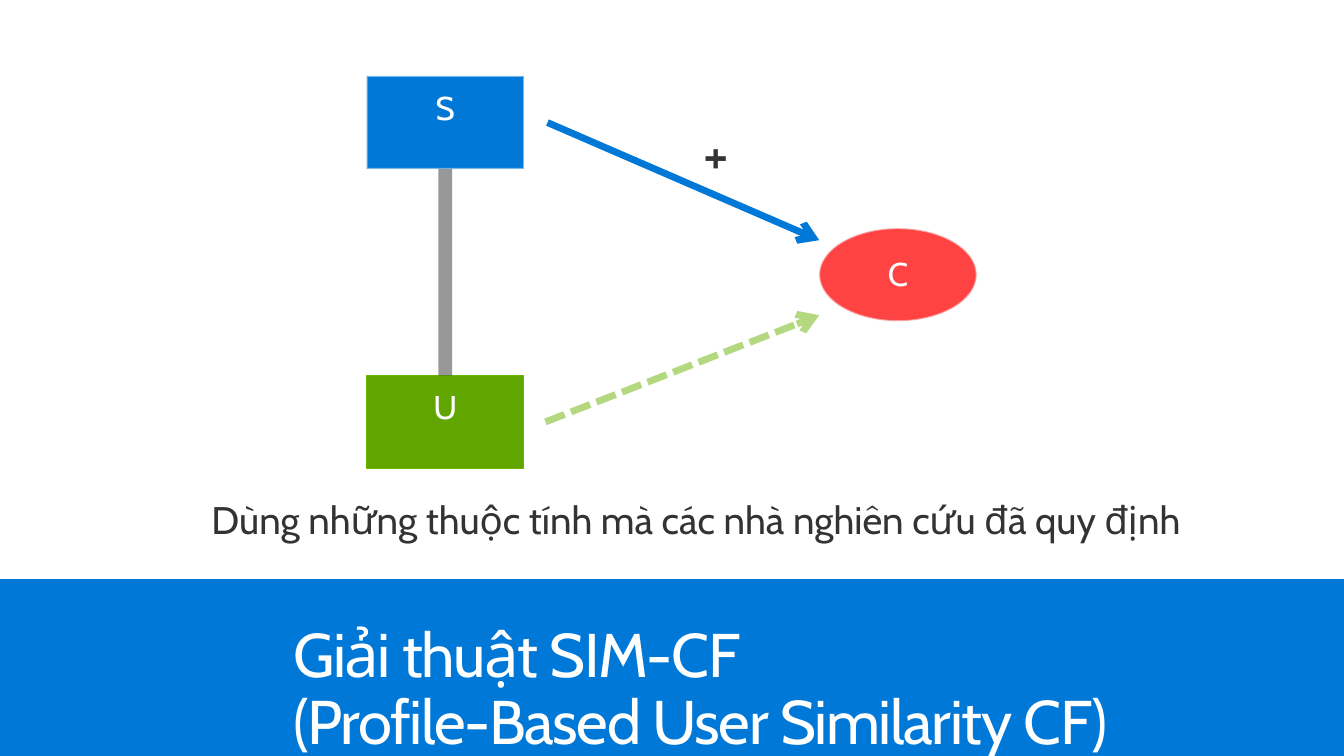
from pptx import Presentation
from pptx.dml.color import RGBColor
from pptx.enum.dml import MSO_LINE
from pptx.enum.shapes import MSO_CONNECTOR, MSO_SHAPE
from pptx.enum.text import MSO_ANCHOR, MSO_AUTO_SIZE, PP_ALIGN
from pptx.oxml.ns import qn
from pptx.util import Pt
from lxml.etree import SubElement

TITLE = "Giải thuật SIM-CF\v(Profile-Based User Similarity CF)"
CAPTION = "Dùng những thuộc tính mà các nhà nghiên cứu đã quy định"
PLUS = "+"

THEME = {
    "font": "Cabin", "title": 44.9, "plus": 40, "caption": 28, "node": 24,
    "blue": "0078D7", "green": "61A600", "green_edge": "6BB700",
    "green_arrow": "69B300", "red": "FF4343", "pale": "F9F9F9",
    "white": "FFFFFF", "dark": "333333",
}

WIDTH, HEIGHT = 979.2, 550.8
BAND_TOP = 421.9
NODE_W, NODE_H = 114.7, 67.7
USER_LEFT = 267.1
INSETS = (14.4, 11.5)
TITLE_INSETS = (11.5, 7.2)

# label: preset, left, top, fill, edge colour, edge width, edge opacity %
NODES = {
    "U": (MSO_SHAPE.RECTANGLE, USER_LEFT, 273.6, "green", "green_edge", 0.75, 100),
    "C": (MSO_SHAPE.OVAL, 596.9, 166.3, "red", "pale", 1.35, 50),
    "S": (MSO_SHAPE.RECTANGLE, USER_LEFT, 55.4, "blue", "pale", 1.35, 50),
}

# start, end, colour, opacity %, dash
ARROWS = [
    ((398.9, 89.3), (596.9, 175), "blue", 100, None),
    ((397.4, 307.4), (596.9, 229.7), "green_arrow", 50, MSO_LINE.SQUARE_DOT),
]


def colour(key):
    return RGBColor.from_string(THEME[key])


def style_line(line, key, width, opacity=100):
    line.color.rgb = colour(key)
    line.width = Pt(width)
    if opacity < 100:
        rgb = line._get_or_add_ln().find(".//" + qn("a:srgbClr"))
        SubElement(rgb, qn("a:alpha"), val=str(opacity * 1000))


def write(frame, text, size, key, insets=INSETS, wrap=True, align=None, after=0):
    frame.margin_left = frame.margin_right = Pt(insets[0])
    frame.margin_top = frame.margin_bottom = Pt(insets[1])
    frame.vertical_anchor = MSO_ANCHOR.TOP
    frame.word_wrap = wrap
    frame.text = text
    paragraph = frame.paragraphs[0]
    paragraph.alignment = align
    paragraph.line_spacing = 0.9
    paragraph.space_after = Pt(after)
    paragraph.font.name = THEME["font"]
    paragraph.font.size = Pt(THEME[size])
    paragraph.font.color.rgb = colour(key)
    return paragraph


def add_filled(slide, preset, left, top, width, height, fill):
    shape = slide.shapes.add_shape(preset, Pt(left), Pt(top), Pt(width), Pt(height))
    shape.shadow.inherit = False
    shape.fill.solid()
    shape.fill.fore_color.rgb = colour(fill)
    return shape


def add_line(slide, start, end, key, width, opacity):
    connector = slide.shapes.add_connector(
        MSO_CONNECTOR.STRAIGHT, *(Pt(v) for v in (*start, *end)))
    SubElement(connector._element.spPr, qn("a:effectLst"))
    style_line(connector.line, key, width, opacity)
    return connector


def add_label(slide, text, size, left, top, width, height):
    box = slide.shapes.add_textbox(Pt(left), Pt(top), Pt(width), Pt(height))
    write(box.text_frame, text, size, "dark", wrap=False, after=6)
    box.text_frame.auto_size = MSO_AUTO_SIZE.SHAPE_TO_FIT_TEXT


def add_title(slide):
    band = add_filled(slide, MSO_SHAPE.RECTANGLE, 0, BAND_TOP,
                      WIDTH, HEIGHT - BAND_TOP, "blue")
    band.line.fill.background()
    box = slide.shapes.add_textbox(Pt(202.3), Pt(447.8), Pt(648), Pt(73.4))
    heading = write(box.text_frame, TITLE, "title", "white", TITLE_INSETS)
    for run in heading.runs:
        run._r.get_or_add_rPr().set("spc", "-100")


def add_diagram(slide):
    nodes = {}
    for label, (preset, left, top, fill, edge, width, opacity) in NODES.items():
        node = add_filled(slide, preset, left, top, NODE_W, NODE_H, fill)
        style_line(node.line, edge, width, opacity)
        write(node.text_frame, label, "node", "white", align=PP_ALIGN.CENTER)
        nodes[label] = node

    for start, end, key, opacity, dash in ARROWS:
        arrow = add_line(slide, start, end, key, 5, opacity)
        if dash:
            arrow.line.dash_style = dash
        SubElement(arrow.line._get_or_add_ln(), qn("a:tailEnd"), type="arrow")

    similarity = add_line(slide, (0, 0), (0, 0), "dark", 10, 50)
    similarity.begin_connect(nodes["S"], 2)
    similarity.end_connect(nodes["U"], 0)


def main():
    deck = Presentation()
    deck.slide_width, deck.slide_height = Pt(WIDTH), Pt(HEIGHT)
    slide = deck.slides.add_slide(deck.slide_layouts[6])
    add_title(slide)
    add_diagram(slide)
    add_label(slide, PLUS, "plus", 498.2, 81.4, 56.9, 67)
    add_label(slide, CAPTION, "caption", 139.7, 353.5, 774, 54)
    deck.save("out.pptx")


if __name__ == "__main__":
    main()
